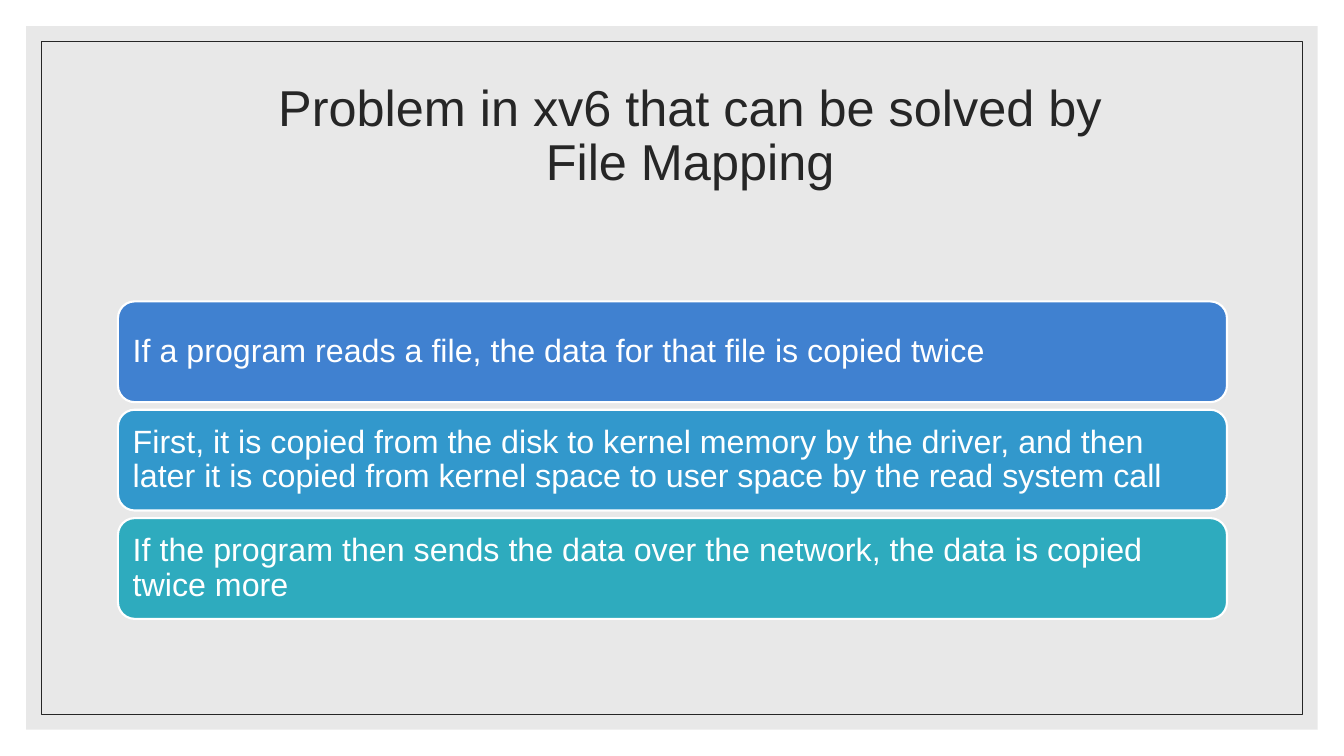
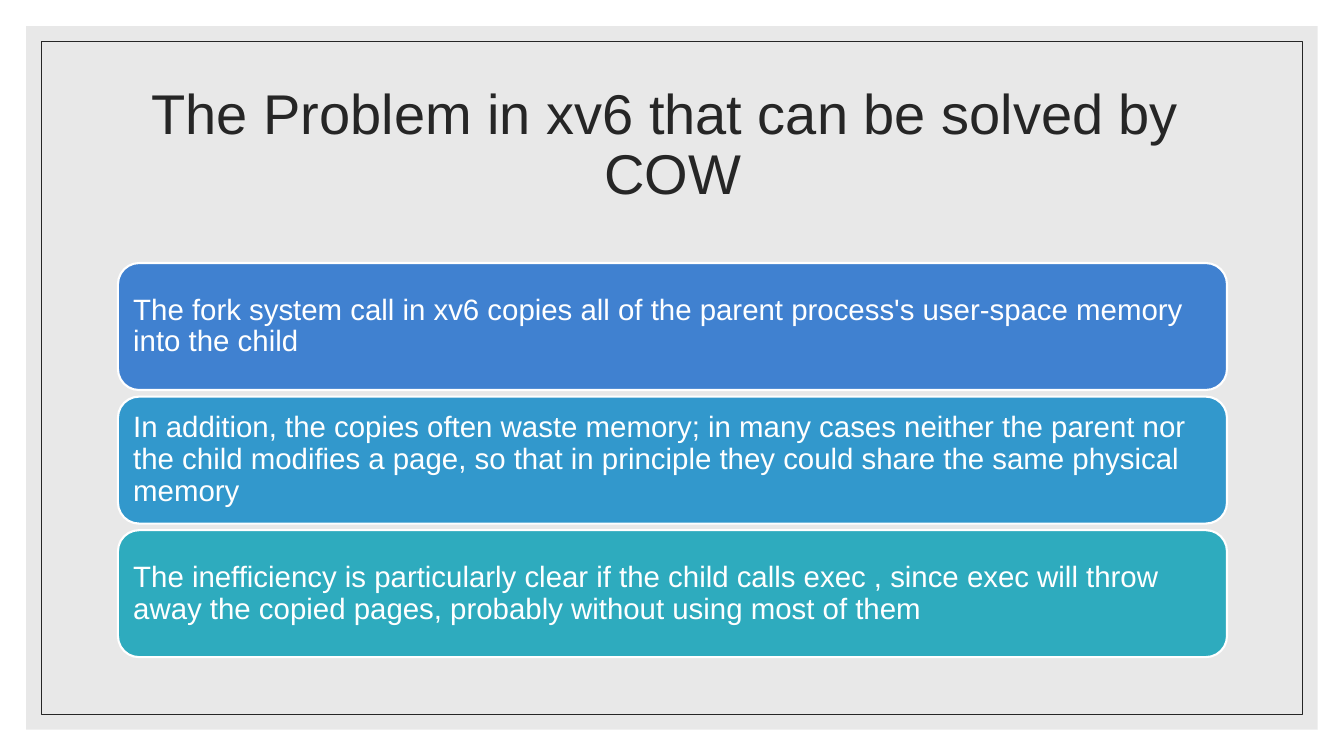
from lxml.etree import SubElement
from pptx import Presentation
from pptx.dml.color import RGBColor
from pptx.enum.shapes import MSO_SHAPE
from pptx.enum.text import MSO_ANCHOR, MSO_AUTO_SIZE, PP_ALIGN
from pptx.oxml.ns import qn
from pptx.util import Inches, Pt

# Shared look
FONT = "Arial"
WHITE = RGBColor(0xFF, 0xFF, 0xFF)
INK = RGBColor(0x26, 0x26, 0x26)
PANEL_GREY = RGBColor(0xD9, 0xD9, 0xD9)
CARD_FILLS = [
    RGBColor(0x40, 0x81, 0xD0),
    RGBColor(0x32, 0x98, 0xCC),
    RGBColor(0x2E, 0xAB, 0xBE),
]

# Grid, in inches
SLIDE_W, SLIDE_H = 13.33, 7.5
SIDE = 1.17
CONTENT_W = 11
TITLE_TOP = 0.7
PANEL_INSET, FRAME_INSET = 0.26, 0.41


def write_text(shape, text, *, size, color, align=PP_ALIGN.LEFT, space_after=0,
               insets=(0.1, 0.05, 0.1, 0.05)):
    """Fill a shape with one paragraph; a newline becomes a line break."""
    tf = shape.text_frame
    tf.word_wrap = True
    tf.auto_size = MSO_AUTO_SIZE.NONE
    tf.vertical_anchor = MSO_ANCHOR.MIDDLE
    tf.margin_left, tf.margin_top, tf.margin_right, tf.margin_bottom = map(Inches, insets)
    p = tf.paragraphs[0]
    p.alignment = align
    p.line_spacing = 0.9
    p.space_before, p.space_after = Pt(0), Pt(space_after)
    for i, line in enumerate(text.split("\n")):
        if i:
            p.add_line_break()
        r = p.add_run()
        r.text = line
        r.font.name, r.font.size = FONT, Pt(size)
        r.font.color.rgb = color


def add_box(slide, kind, left, top, width, height, *, fill=None, line=None, line_width=0.5):
    sp = slide.shapes.add_shape(kind, *map(Inches, (left, top, width, height)))
    sp.shadow.inherit = False
    if fill is None:
        sp.fill.background()
    else:
        sp.fill.solid()
        sp.fill.fore_color.rgb = fill
    if line is None:
        sp.line.fill.background()
    else:
        sp.line.color.rgb = line
        sp.line.width = Pt(line_width)
    return sp


def add_inset_rect(slide, inset, **style):
    return add_box(slide, MSO_SHAPE.RECTANGLE, inset, inset,
                   SLIDE_W - 2 * inset, SLIDE_H - 2 * inset, **style)


def add_backdrop(slide):
    """Draw the panel and frame, then move them to the shared layout."""
    panel = add_inset_rect(slide, PANEL_INSET, fill=PANEL_GREY)
    color = panel.fill._xPr.find(qn("a:solidFill"))[0]
    SubElement(color, qn("a:alpha")).set("val", "60000")
    frame = add_inset_rect(slide, FRAME_INSET, line=INK)
    tree = slide.slide_layout.shapes._spTree
    for sp in (panel, frame):
        tree.append(sp._element)


def set_title(slide, text, *, width, height, size, insets):
    title = slide.shapes.title
    title.left, title.top = Inches(SIDE), Inches(TITLE_TOP)
    title.width, title.height = Inches(width), Inches(height)
    write_text(title, text, size=size, color=INK, align=PP_ALIGN.CENTER, insets=insets)


def add_cards(slide, texts, *, top, bottom, height, size, inset):
    """Stack equal cards evenly between top and bottom."""
    pitch = (bottom - top - height) / (len(texts) - 1)
    for i, (text, fill) in enumerate(zip(texts, CARD_FILLS)):
        card = add_box(slide, MSO_SHAPE.ROUNDED_RECTANGLE, SIDE, top + i * pitch,
                       CONTENT_W, height, fill=fill, line=WHITE, line_width=1.5)
        write_text(card, text, size=size, color=WHITE, space_after=0.35 * size,
                   insets=(inset,) * 4)


def main():
    prs = Presentation()
    prs.slide_width, prs.slide_height = Inches(SLIDE_W), Inches(SLIDE_H)
    layout = prs.slide_layouts.get_by_name("Title Only")
    mapping, cow = (prs.slides.add_slide(layout) for _ in range(2))
    add_backdrop(mapping)

    # File mapping
    set_title(mapping, "Problem in xv6 that can be solved by\nFile Mapping",
              width=11.52, height=1.84, size=36, insets=(0.1, 0.05, 0.27, 0.57))
    add_cards(mapping, [
        "If a program reads a file, the data for that file is copied twice",
        "First, it is copied from the disk to kernel memory by the driver, and then "
        "later it is copied from kernel space to user space by the read system call",
        "If the program then sends the data over the network, the data is copied "
        "twice more",
    ], top=2.99, bottom=6.14, height=1, size=23, inset=0.1)

    # Copy on write
    set_title(cow, "The Problem in xv6 that can be solved by  COW",
              width=CONTENT_W, height=1.5, size=40, insets=(0.1, 0.05, 0.1, 0.05))
    add_cards(cow, [
        "The fork system call in xv6 copies all of the parent process's user-space "
        "memory into the child",
        "In addition, the copies often waste memory; in many cases neither the parent "
        "nor the child modifies a page, so that in principle they could share the same "
        "physical memory",
        "The inefficiency is particularly clear if the child calls exec , since exec "
        "will throw away the copied pages, probably without using most of them",
    ], top=2.61, bottom=6.52, height=1.26, size=21, inset=0.09)

    prs.save("out.pptx")


if __name__ == "__main__":
    main()
